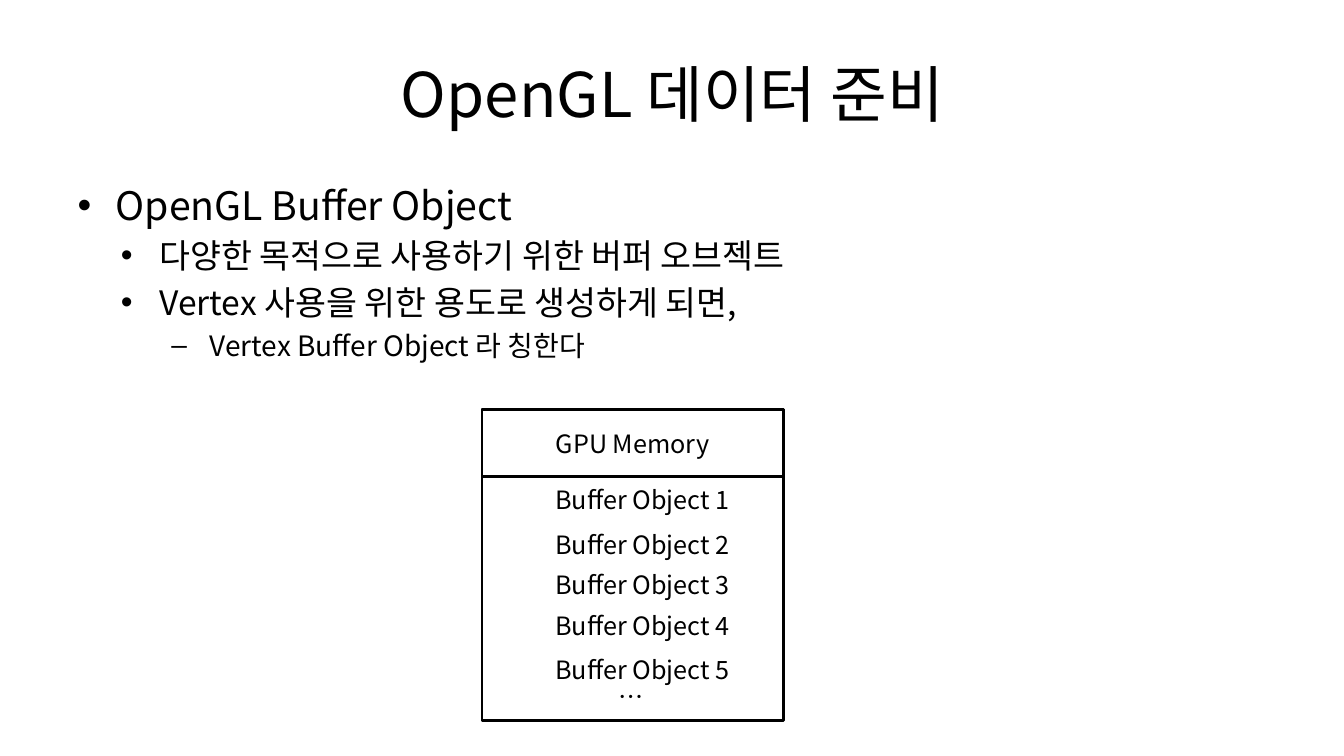
from pptx import Presentation
from pptx.dml.color import RGBColor
from pptx.enum.shapes import MSO_SHAPE
from pptx.enum.text import MSO_ANCHOR, MSO_AUTO_SIZE, PP_ALIGN
from pptx.oxml.ns import qn
from pptx.util import Inches, Pt
from lxml.etree import SubElement

FONT = "Noto Sans CJK KR"
BLACK, WHITE = "000000", "FFFFFF"


def rgb(value):
    return RGBColor.from_string(value)


def write(p, text, size=18, color=BLACK, align=PP_ALIGN.LEFT, before=0):
    """Add a formatted run to a paragraph."""
    p.alignment = align
    p.space_before = Pt(before)
    r = p.add_run()
    r.text = text
    r.font.size = Pt(size)
    r.font.name = FONT
    r.font.color.rgb = rgb(color)
    SubElement(r.font._element, qn("a:ea")).set("typeface", FONT)


class SlideBuilder:
    LEVELS = [(28, 0.38, "•"), (24, 0.81, "•"), (20, 1.31, "–")]
    HANGING = 0.38

    def __init__(self, prs):
        self.slide = prs.slides.add_slide(prs.slide_layouts[1])

    def place(self, sp, left, top, width, height):
        sp.left, sp.top = Inches(left), Inches(top)
        sp.width, sp.height = Inches(width), Inches(height)

    def title(self, text, *box):
        sp = self.slide.shapes.title
        self.place(sp, *box)
        sp.text_frame.vertical_anchor = MSO_ANCHOR.MIDDLE
        write(sp.text_frame.paragraphs[0], text, size=44, align=PP_ALIGN.CENTER)

    def bullets(self, items, *box):
        sp = self.slide.placeholders[1]
        self.place(sp, *box)
        tf = sp.text_frame
        for i, (level, text) in enumerate(items):
            p = tf.add_paragraph() if i else tf.paragraphs[0]
            size, indent, mark = self.LEVELS[level]
            p.level = level
            pPr = p._p.get_or_add_pPr()
            pPr.set("marL", str(Inches(indent)))
            pPr.set("indent", str(-Inches(self.HANGING)))
            SubElement(pPr, qn("a:buFont")).set("typeface", "Arial")
            SubElement(pPr, qn("a:buChar")).set("char", mark)
            write(p, text, size=size, before=size * 0.2 if i else 0)

    def block(self, text, *box):
        sp = self.slide.shapes.add_shape(MSO_SHAPE.FLOWCHART_PROCESS, 0, 0, 0, 0)
        self.place(sp, *box)
        sp.shadow.inherit = False
        sp.fill.solid()
        sp.fill.fore_color.rgb = rgb(WHITE)
        sp.line.color.rgb = rgb(BLACK)
        sp.line.width = Pt(2)
        if text:
            sp.text_frame.vertical_anchor = MSO_ANCHOR.MIDDLE
            write(sp.text_frame.paragraphs[0], text, align=PP_ALIGN.CENTER)

    def label(self, text, left, top, width):
        sp = self.slide.shapes.add_textbox(0, 0, 0, 0)
        self.place(sp, left, top, width, 0.4)
        tf = sp.text_frame
        tf.word_wrap = False
        tf.auto_size = MSO_AUTO_SIZE.SHAPE_TO_FIT_TEXT
        write(tf.paragraphs[0], text)


def main():
    prs = Presentation()
    prs.slide_width, prs.slide_height = Inches(13.33), Inches(7.5)
    s = SlideBuilder(prs)

    # Heading and explanation
    s.title("OpenGL 데이터 준비", 0.67, 0.3, 12, 1.25)
    s.bullets([
        (0, "OpenGL Buffer Object"),
        (1, "다양한 목적으로 사용하기 위한 버퍼 오브젝트"),
        (1, "Vertex 사용을 위한 용도로 생성하게 되면,"),
        (2, "Vertex Buffer Object 라 칭한다"),
    ], 0.67, 1.75, 12, 4.95)

    # GPU memory diagram
    s.block("", 4.78, 4.06, 2.99, 3.09)
    s.block("GPU Memory", 4.78, 4.06, 2.99, 0.67)
    for number, top in enumerate((4.76, 5.2, 5.6, 6.01, 6.44), start=1):
        s.label(f"Buffer Object {number}", 5.41, top, 1.95)
    s.label("…", 6.04, 6.71, 0.39)

    prs.save("out.pptx")


if __name__ == "__main__":
    main()
